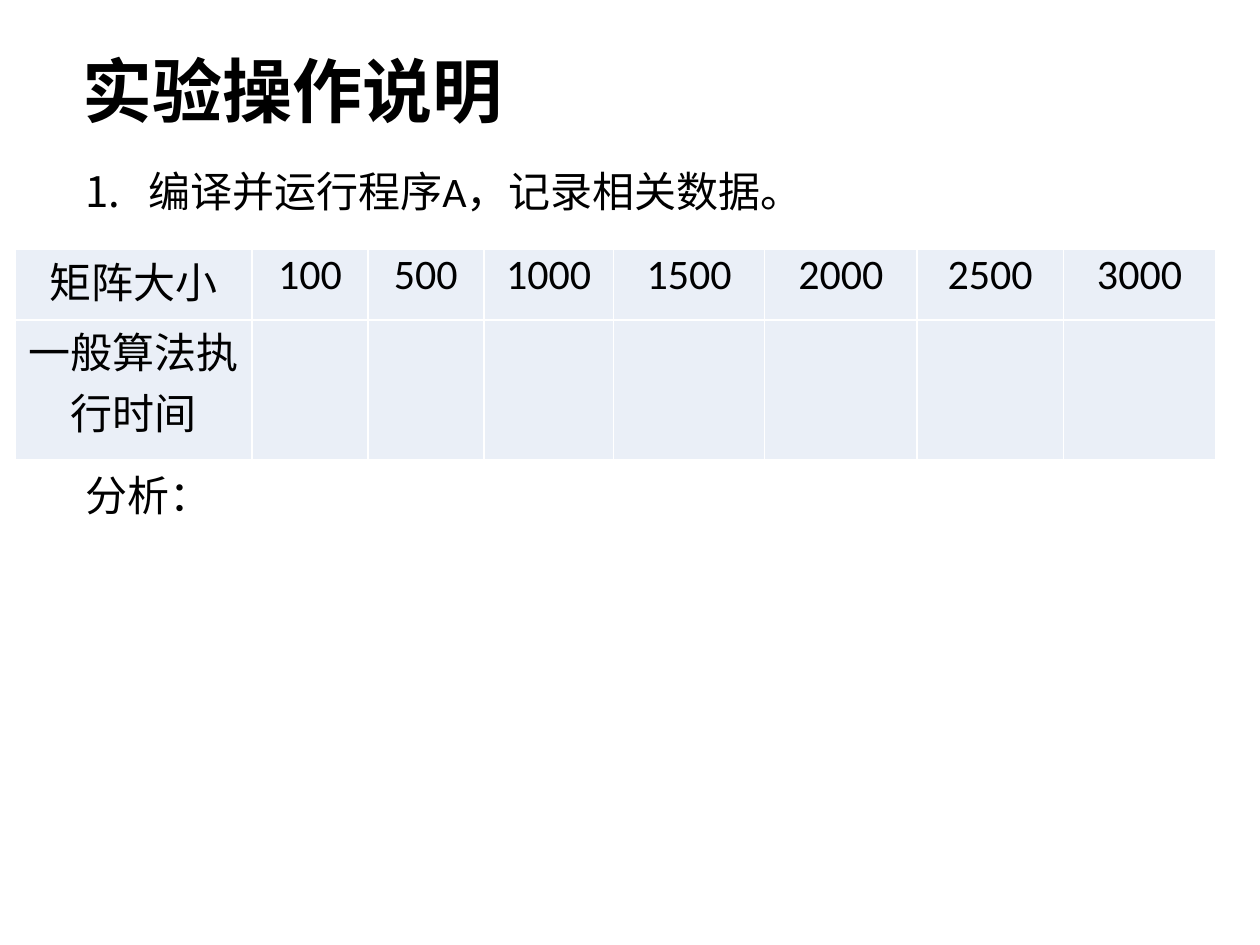
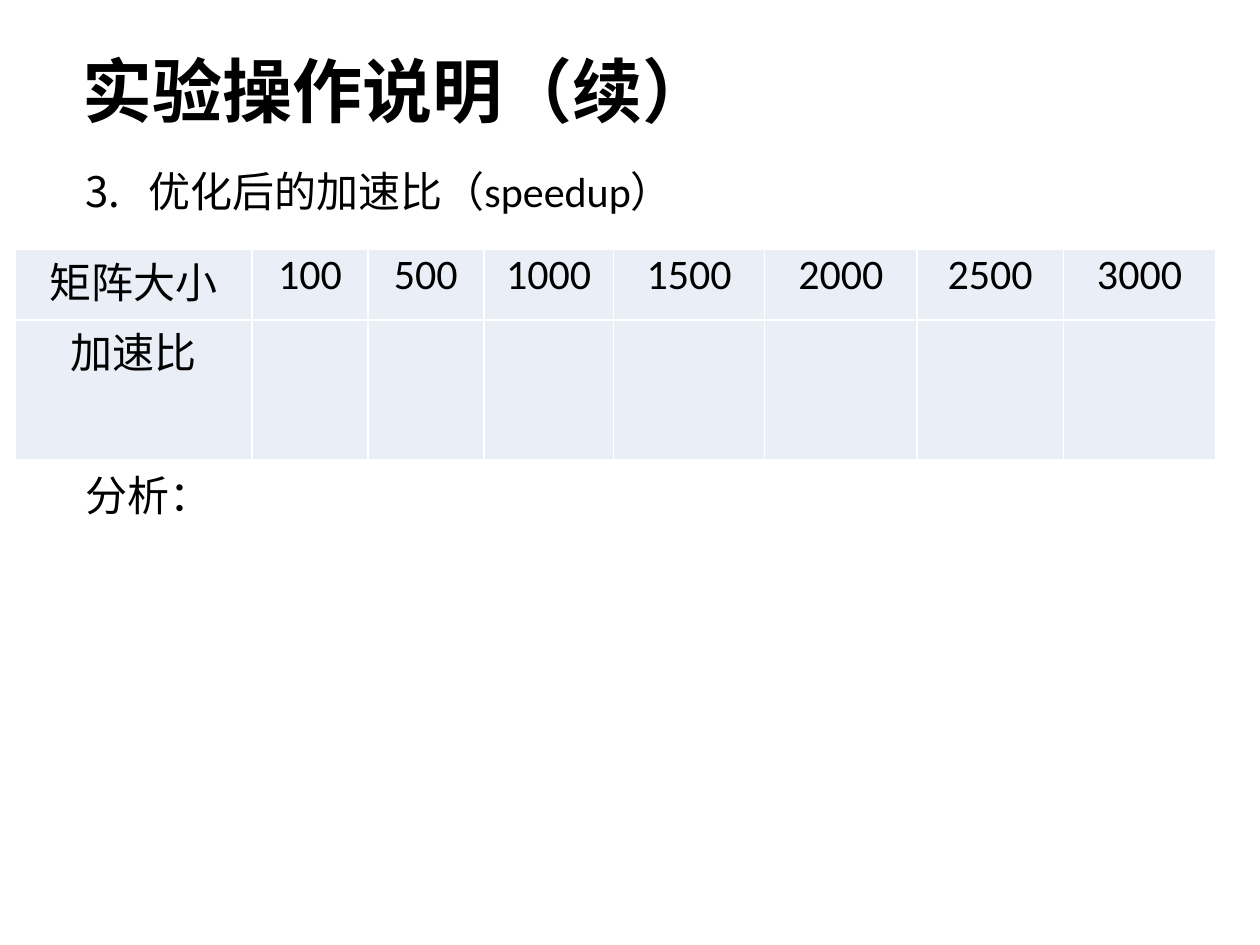
import pptx
import pptx.dml.color
import pptx.enum.text
import pptx.oxml.ns
import pptx.util
from lxml import etree

SIZES = ["100", "500", "1000", "1500", "2000", "2500", "3000"]
COLUMN_WIDTHS = [18.8, 9.2, 9.2, 10.3, 12, 12.1, 11.6, 12.1]
ROW_HEIGHTS = [5.6, 11.1]
qn = pptx.oxml.ns.qn


def color(hex_string):
    return pptx.dml.color.RGBColor.from_string(hex_string)


class Deck:
    COLUMNS, ROWS = 100, 75
    INK, CELL, RULE = "000000", "EAEFF7", "FFFFFF"
    LATIN, CJK = "Calibri", "Noto Sans CJK SC"

    def __init__(self):
        self.presentation = pptx.Presentation()
        self.presentation.slide_width = pptx.util.Inches(10)
        self.presentation.slide_height = pptx.util.Inches(7.5)
        self.slide = None

    def across(self, columns):
        return round(self.presentation.slide_width * columns / self.COLUMNS)

    def down(self, rows):
        return round(self.presentation.slide_height * rows / self.ROWS)

    def new_slide(self):
        self.slide = self.presentation.slides.add_slide(self.presentation.slide_layouts[6])

    def style(self, paragraph, size=24, face=LATIN, bold=False):
        font = paragraph.font
        font.size = pptx.util.Pt(size)
        font.name = face
        font.bold = bold
        font.color.rgb = color(self.INK)
        properties = paragraph._p.pPr.find(qn("a:defRPr"))
        etree.SubElement(properties, qn("a:ea"), typeface=self.CJK)

    def text_frame(self, left, top, width, height):
        box = self.slide.shapes.add_textbox(
            self.across(left), self.down(top), self.across(width), self.down(height))
        box.text_frame.word_wrap = True
        return box.text_frame

    def title(self, wording):
        frame = self.text_frame(5.6, 4, 88.6, 7)
        frame.vertical_anchor = pptx.enum.text.MSO_ANCHOR.MIDDLE
        heading = frame.paragraphs[0]
        heading.text = wording
        heading.line_spacing = 0.9
        self.style(heading, 40, self.CJK, True)

    def body(self, number, step, conclusion):
        frame = self.text_frame(5.8, 13.1, 90.8, 59.5)
        instruction = frame.paragraphs[0]
        instruction.text = step
        instruction.line_spacing = 0.9
        properties = instruction._p.get_or_add_pPr()
        indent = self.across(5)
        properties.set("marL", str(indent))
        properties.set("indent", str(-indent))
        etree.SubElement(properties, qn("a:buFont"), typeface=self.LATIN)
        etree.SubElement(properties, qn("a:buAutoNum"), type="arabicPeriod", startAt=str(number))
        self.style(instruction)
        analysis = frame.add_paragraph()
        analysis.text = conclusion
        analysis.line_spacing = 0.9
        analysis.space_before = pptx.util.Pt(148)
        self.style(analysis)

    def cell(self, cell, wording):
        cell.margin_left = cell.margin_right = self.across(0.7)
        cell.margin_top = cell.margin_bottom = 0
        properties = cell._tc.get_or_add_tcPr()
        for side in ("lnL", "lnR", "lnT", "lnB"):
            line = etree.SubElement(properties, qn("a:" + side), w=str(pptx.util.Pt(1)))
            fill = etree.SubElement(line, qn("a:solidFill"))
            etree.SubElement(fill, qn("a:srgbClr"), val=self.RULE)
        cell.fill.solid()
        cell.fill.fore_color.rgb = color(self.CELL)
        paragraph = cell.text_frame.paragraphs[0]
        paragraph.text = wording
        paragraph.alignment = pptx.enum.text.PP_ALIGN.CENTER
        self.style(paragraph)

    def table(self, rows):
        table = self.slide.shapes.add_table(
            len(rows), len(COLUMN_WIDTHS), self.across(1.2), self.down(19.8),
            self.across(sum(COLUMN_WIDTHS)), self.down(sum(ROW_HEIGHTS))).table
        table.first_row = table.horz_banding = False
        for column, width in zip(table.columns, COLUMN_WIDTHS):
            column.width = self.across(width)
        for row, height, wordings in zip(table.rows, ROW_HEIGHTS, rows):
            row.height = self.down(height)
            for cell, wording in zip(row.cells, wordings):
                self.cell(cell, wording)


def main():
    deck = Deck()
    experiments = [
        ("实验操作说明", 1, "编译并运行程序A，记录相关数据。", "一般算法执行时间"),
        ("实验操作说明（续）", 3, "优化后的加速比（speedup）", "加速比"),
    ]
    for title, number, step, measure in experiments:
        deck.new_slide()
        deck.title(title)
        deck.body(number, step, "分析：")
        deck.table([["矩阵大小", *SIZES], [measure] + [""] * len(SIZES)])
    deck.presentation.save("out.pptx")


if __name__ == "__main__":
    main()
